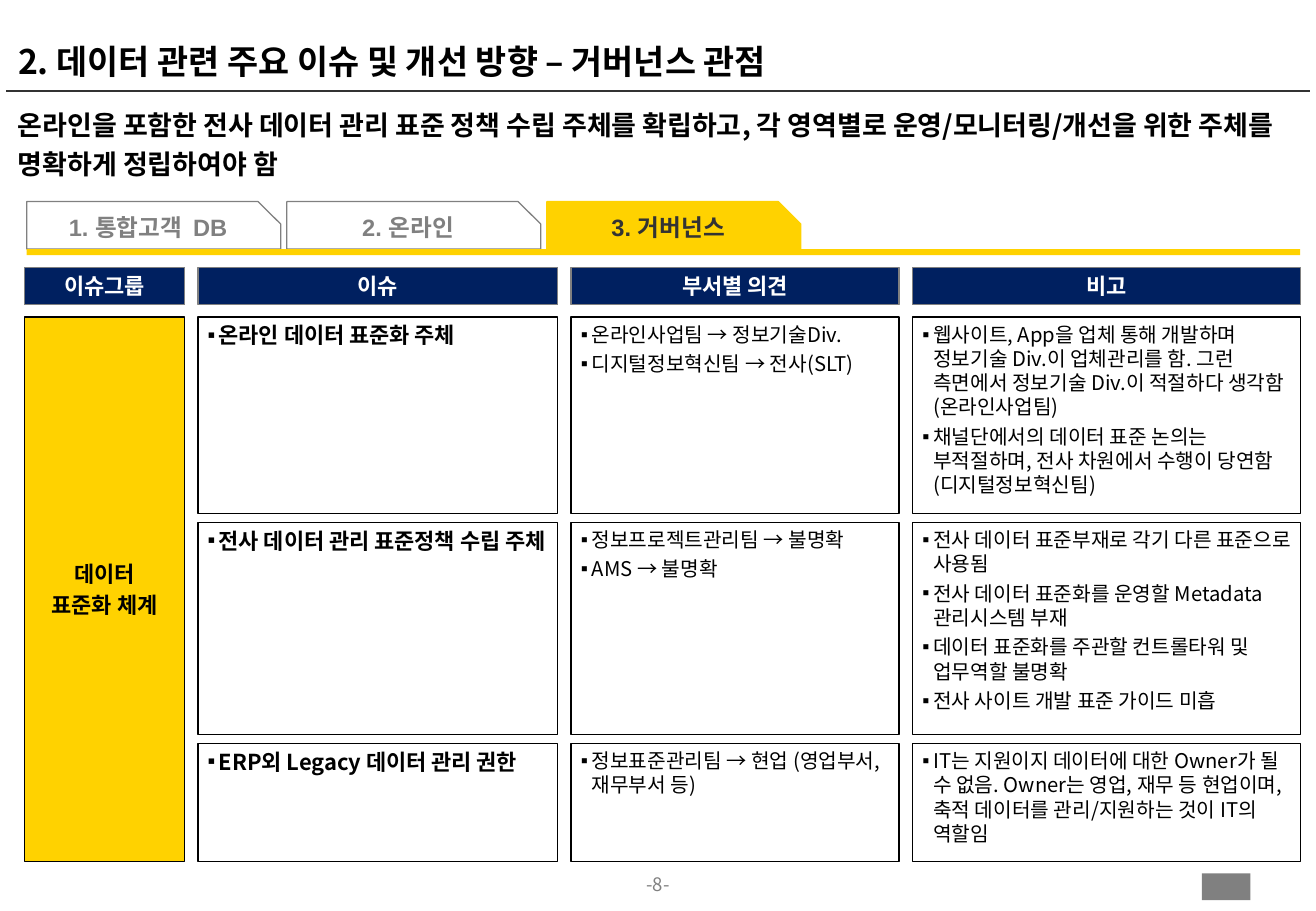
from lxml import etree
from pptx import Presentation
from pptx.dml.color import RGBColor
from pptx.enum.shapes import MSO_CONNECTOR, MSO_SHAPE
from pptx.enum.text import MSO_ANCHOR, PP_ALIGN
from pptx.oxml.ns import qn
from pptx.util import Inches, Pt

# Content
TITLE = "2. 데이터 관련 주요 이슈 및 개선 방향 – 거버넌스 관점"
MESSAGE = ("온라인을 포함한 전사 데이터 관리 표준 정책 수립 주체를 확립하고, "
           "각 영역별로 운영/모니터링/개선을 위한 주체를 명확하게 정립하여야 함")
TABS = ["1. 통합고객  DB", "2. 온라인", "3. 거버넌스"]
ACTIVE_TAB = 2
HEADERS = ["이슈그룹", "이슈", "부서별 의견", "비고"]
ISSUE_GROUP = ["데이터", "표준화 체계"]
ISSUES = [
    (["온라인 데이터 표준화 주체"],
     ["온라인사업팀 → 정보기술Div.", "디지털정보혁신팀 → 전사(SLT)"],
     ["웹사이트, App을 업체 통해 개발하며 정보기술 Div.이 업체관리를 함. "
      "그런 측면에서 정보기술 Div.이 적절하다 생각함 (온라인사업팀)",
      "채널단에서의 데이터 표준 논의는 부적절하며, "
      "전사 차원에서 수행이 당연함 (디지털정보혁신팀)"]),
    (["전사 데이터 관리 표준정책 수립 주체"],
     ["정보프로젝트관리팀 → 불명확", "AMS → 불명확"],
     ["전사 데이터 표준부재로 각기 다른 표준으로 사용됨",
      "전사 데이터 표준화를 운영할 Metadata 관리시스템 부재",
      "데이터 표준화를 주관할 컨트롤타워 및 업무역할 불명확",
      "전사 사이트 개발 표준 가이드 미흡"]),
    (["ERP외 Legacy 데이터 관리 권한"],
     ["정보표준관리팀 → 현업 (영업부서, 재무부서 등)"],
     ["IT는 지원이지 데이터에 대한 Owner가 될 수 없음. Owner는 영업, 재무 등 "
      "현업이며, 축적 데이터를 관리/지원하는 것이 IT의 역할임"]),
]
PAGE = "-8-"

# Style
BLACK = RGBColor(0, 0, 0)
WHITE = RGBColor(0xFF, 0xFF, 0xFF)
GRAY = RGBColor(0x80, 0x80, 0x80)
DARK = RGBColor(0x33, 0x33, 0x33)
YELLOW = RGBColor(0xFF, 0xD2, 0x00)
NAVY = RGBColor(0x00, 0x20, 0x60)
KOREAN = "Noto Sans CJK KR"
CELL_INSETS = (0.08, 0.04, 0.04, 0.04)

# Grid, in inches
GRID_LEFT, COLUMN_GAP, COLUMN_WIDTHS = 0.2, 0.11, [1.32, 2.96, 2.7, 3.19]
GRID_TOP, ROW_GAP, ROW_HEIGHTS = 2.61, 0.07, [1.62, 1.75, 0.97]
HEADER_TOP, HEADER_HEIGHT = 2.2, 0.31
TAB_LEFT, TAB_TOP, TAB_WIDTH, TAB_HEIGHT, TAB_PITCH = 0.22, 1.66, 2.09, 0.39, 2.14

prs = Presentation()
prs.slide_width, prs.slide_height = Inches(10.83), Inches(7.5)
slide = prs.slides.add_slide(prs.slide_layouts[6])


def starts(first, sizes, gap):
    return [first + sum(sizes[:i]) + gap * i for i in range(len(sizes))]


def write(shape, lines, size, color=BLACK, bold=False, latin=KOREAN,
          align=PP_ALIGN.LEFT, anchor=MSO_ANCHOR.TOP,
          insets=(0.1, 0.05, 0.1, 0.05), bullet=False, before=0, spacing=None):
    frame = shape.text_frame
    frame.word_wrap = True
    frame.vertical_anchor = anchor
    (frame.margin_left, frame.margin_top,
     frame.margin_right, frame.margin_bottom) = map(Inches, insets)
    for i, line in enumerate(lines):
        paragraph = frame.add_paragraph() if i else frame.paragraphs[0]
        paragraph.text = line
        properties = paragraph._p.get_or_add_pPr()
        if bullet:
            properties.set("marL", str(Inches(0.09)))
            properties.set("indent", str(-Inches(0.09)))
            etree.SubElement(properties, qn("a:buFont")).set("typeface", "Arial")
            etree.SubElement(properties, qn("a:buChar")).set("char", "▪")
        paragraph.alignment = align
        if i and before:
            paragraph.space_before = Pt(before)
        if spacing:
            paragraph.line_spacing = spacing
        font = paragraph.font
        font.size, font.bold, font.name = Pt(size), bold, latin
        font.color.rgb = color
        defaults = properties.find(qn("a:defRPr"))
        defaults.set("kern", "0")
        etree.SubElement(defaults, qn("a:ea")).set("typeface", KOREAN)


def add_text(left, top, width, height, text, size, **style):
    box = slide.shapes.add_textbox(*map(Inches, (left, top, width, height)))
    write(box, [text], size, **style)


def add_box(left, top, width, height, fill=None, line=None, kind=MSO_SHAPE.RECTANGLE):
    box = slide.shapes.add_shape(kind, *map(Inches, (left, top, width, height)))
    box.shadow.inherit = False
    if fill is None:
        box.fill.background()
    else:
        box.fill.solid()
        box.fill.fore_color.rgb = fill
    if line is None:
        box.line.fill.background()
    else:
        box.line.color.rgb = line
        box.line.width = Pt(0.75)
    return box


# Page number and corner mark
add_text(4.99, 7.19, 0.85, 0.22, PAGE, 11, color=GRAY, align=PP_ALIGN.CENTER,
         insets=(0, 0, 0, 0))
add_box(9.89, 7.19, 0.4, 0.22, fill=GRAY)

# Title, rule and key message
rule = slide.shapes.add_connector(MSO_CONNECTOR.STRAIGHT, Inches(0.05), Inches(0.75),
                                  Inches(10.78), Inches(0.75))
rule.line.color.rgb = DARK
rule.line.width = Pt(1)
etree.SubElement(rule._element.spPr, qn("a:effectLst"))
add_text(0.05, 0.05, 10.72, 0.67, TITLE, 20, bold=True,
         anchor=MSO_ANCHOR.BOTTOM, spacing=0.85)
add_text(0.05, 0.79, 10.73, 0.56, MESSAGE, 16, bold=True, spacing=1.2)

# Tabs
for i, label in enumerate(TABS):
    active = i == ACTIVE_TAB
    tab = add_box(TAB_LEFT + i * TAB_PITCH, TAB_TOP, TAB_WIDTH, TAB_HEIGHT,
                  fill=YELLOW if active else WHITE, line=YELLOW if active else GRAY,
                  kind=MSO_SHAPE.SNIP_1_RECTANGLE)
    tab.adjustments[0] = 0.475
    write(tab, [label], 14, color=DARK if active else GRAY, bold=True, latin="Arial",
          align=PP_ALIGN.CENTER, insets=(0.04, 0, 0.04, 0.08))
add_box(TAB_LEFT, TAB_TOP + TAB_HEIGHT, 10.48, 0.05, fill=YELLOW)

# Column headers
columns = list(zip(starts(GRID_LEFT, COLUMN_WIDTHS, COLUMN_GAP), COLUMN_WIDTHS))
for (left, width), label in zip(columns, HEADERS):
    header = add_box(left, HEADER_TOP, width, HEADER_HEIGHT, fill=NAVY, line=GRAY)
    write(header, [label], 13, color=WHITE, bold=True,
          align=PP_ALIGN.CENTER, anchor=MSO_ANCHOR.MIDDLE)

# Issue group spanning all rows
group_height = sum(ROW_HEIGHTS) + ROW_GAP * (len(ROW_HEIGHTS) - 1)
group = add_box(GRID_LEFT, GRID_TOP, COLUMN_WIDTHS[0], group_height,
                fill=YELLOW, line=BLACK)
write(group, ISSUE_GROUP, 13, bold=True, align=PP_ALIGN.CENTER,
      anchor=MSO_ANCHOR.MIDDLE, insets=(0.04, 0.04, 0.04, 0.04), before=3)

# Issues, opinions and remarks
row_tops = starts(GRID_TOP, ROW_HEIGHTS, ROW_GAP)
for top, height, issue in zip(row_tops, ROW_HEIGHTS, ISSUES):
    for j, ((left, width), lines) in enumerate(zip(columns[1:], issue)):
        cell = add_box(left, top, width, height, line=BLACK)
        write(cell, lines, 12 if j else 13, bold=j == 0, insets=CELL_INSETS,
              bullet=True, before=3)

prs.save("out.pptx")
